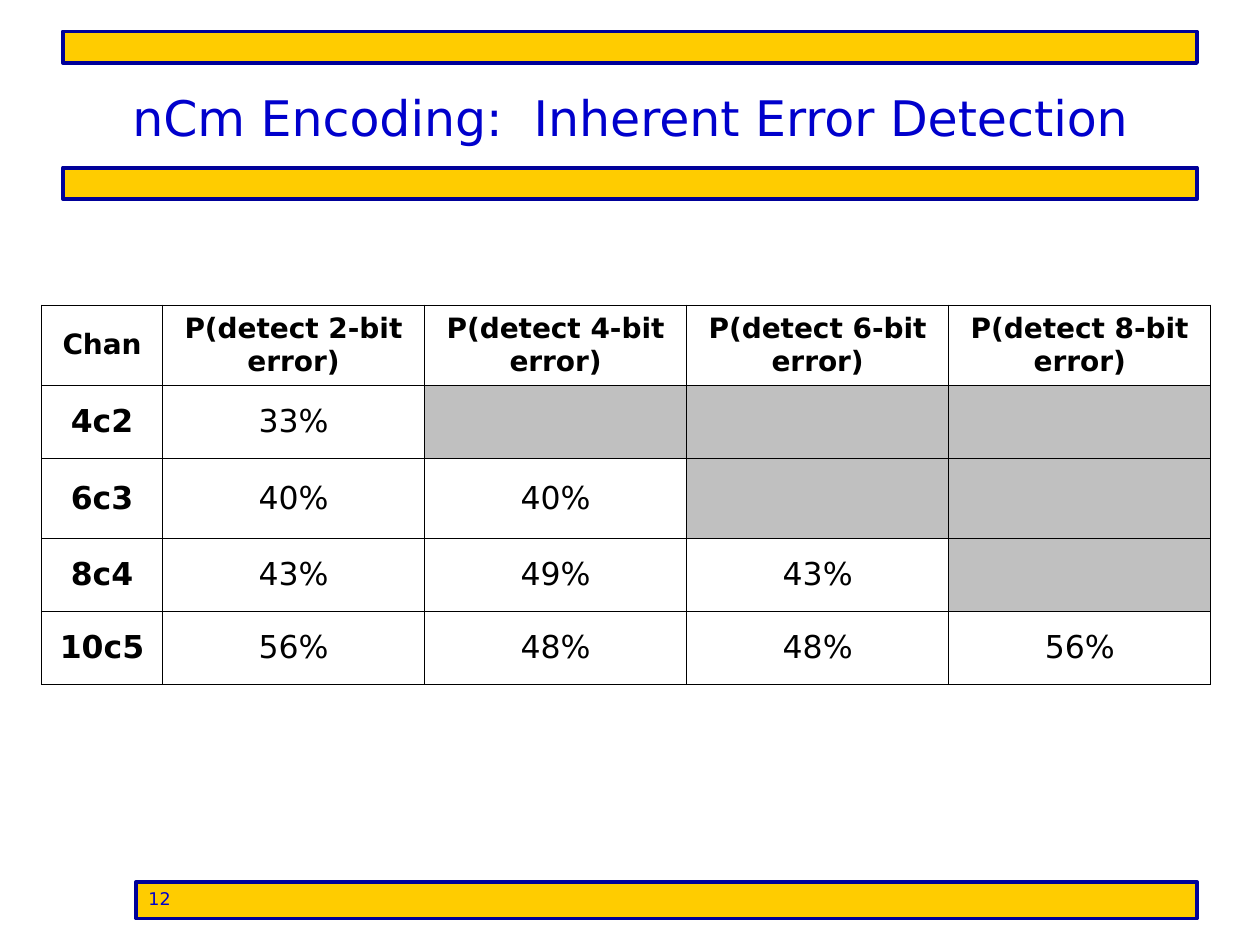
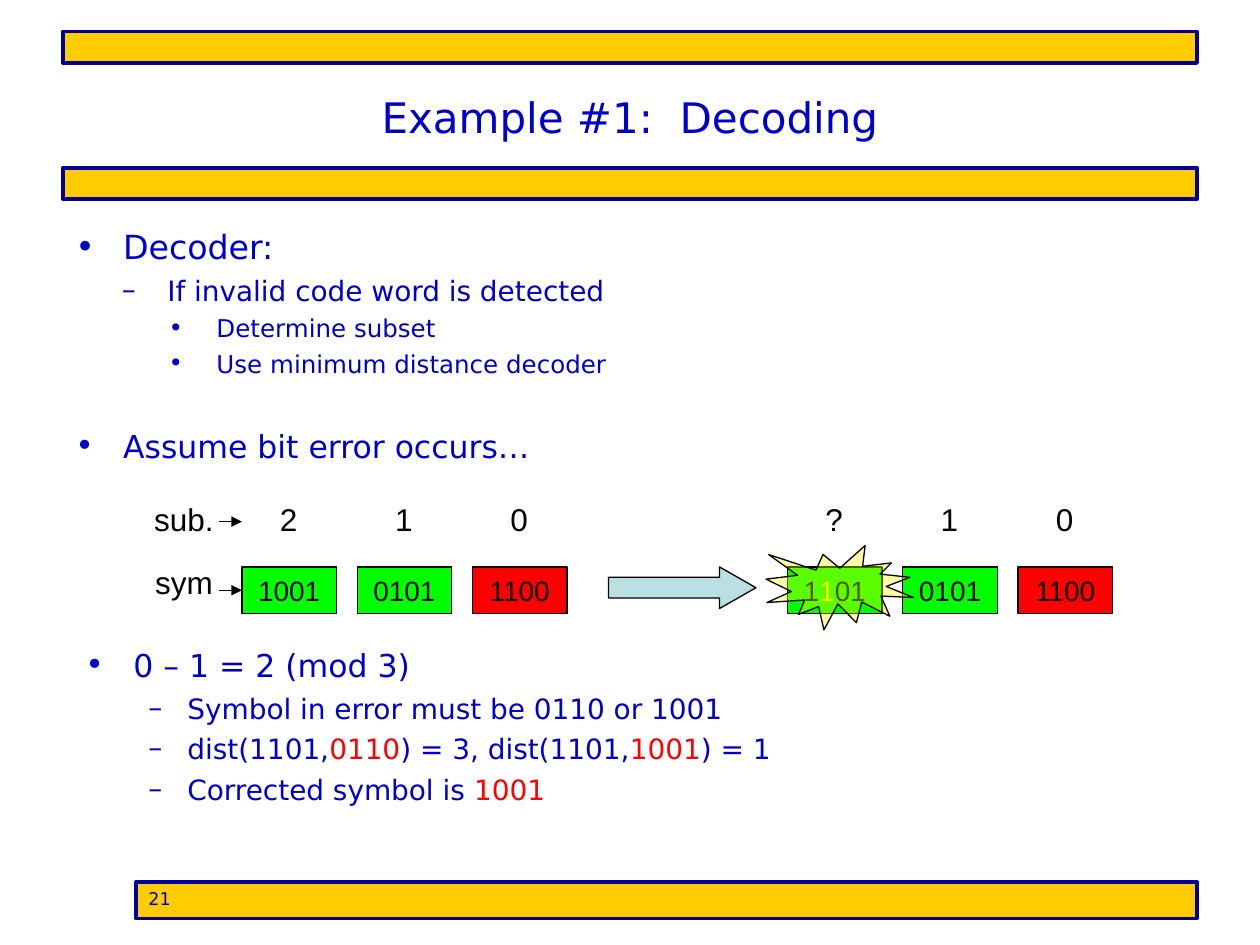
from dataclasses import dataclass

from lxml import etree
from pptx import Presentation
from pptx import util as u
from pptx.dml.color import RGBColor
from pptx.enum import shapes, text
from pptx.oxml import ns


@dataclass(frozen=True)
class Theme:
    gold: str = "FFCC00"
    navy: str = "000099"
    blue: str = "0000CC"
    black: str = "000000"
    white: str = "FFFFFF"
    gray: str = "C0C0C0"
    green: str = "00FF00"
    red: str = "FF0000"
    yellow: str = "FFFF00"
    pale_blue: str = "BBE0E3"
    main_font: str = "DejaVu Sans"
    diagram_font: str = "Arial"
    header_size: int = 16
    cell_size: int = 18
    code_size: int = 16
    label_size: int = 18
    number_size: int = 10
    band_line: float = 2.25
    thin_line: float = 0.75
    cell_line: float = 0.45


THEME = Theme()

# Bullet levels: size, left margin, hanging indent, space before, bullet
LEVELS = {
    "lead": (19, 0.38, 0.38, 4.8, "•"),
    "point": (18, 0.38, 0.38, 4.5, "•"),
    "rule": (16, 0.73, 0.36, 4, "–"),
    "step": (14, 1.12, 0.38, 3.5, "•"),
    "result": (16, 0.81, 0.31, 4, "–"),
}

# Content: detection table
DETECTION = {
    "title": ("nCm Encoding:  Inherent Error Detection", 28),
    "number": "12",
    "header": ["Chan"] + [f"P(detect {bits}-bit error)" for bits in (2, 4, 6, 8)],
    "rows": [
        ("4c2", "33%"),
        ("6c3", "40%", "40%"),
        ("8c4", "43%", "49%", "43%"),
        ("10c5", "56%", "48%", "48%", "56%"),
    ],
    "widths": [0.96] + [2.08] * 4,
    "heights": [0.64, 0.58, 0.63, 0.58, 0.58],
}

# Content: decoding example; a run is a string or a (string, colour) pair
DECODING = {
    "title": ("Example #1:  Decoding", 24),
    "number": "21",
    "bullets": [
        ((0.5, 1.75, 9, 1.58), [
            ("lead", ["Decoder:"]),
            ("rule", ["If invalid code word is detected"]),
            ("step", ["Determine subset"]),
            ("step", ["Use minimum distance decoder"]),
        ]),
        ((0.5, 3.34, 9, 0.53), [("point", ["Assume bit error occurs…"])]),
        ((0.58, 5.08, 9, 1.42), [
            ("point", ["0 – 1 = 2 (mod 3)"]),
            ("result", ["Symbol in error must be 0110 or 1001"]),
            ("result", ["dist(1101,", ("0110", THEME.red), ") = 3, dist(1101,",
                        ("1001", THEME.red), ") = 1"]),
            ("result", ["Corrected symbol is ", ("1001", THEME.red)]),
        ]),
    ],
    # Left edge of each sequence, then (subset, symbol runs, fill)
    "sequences": [
        (1.92, [("2", ["1001"], THEME.green), ("1", ["0101"], THEME.green),
                ("0", ["1100"], THEME.red)]),
        (6.25, [("?", ["1", ("1", THEME.yellow), "01"], THEME.green),
                ("1", ["0101"], THEME.green), ("0", ["1100"], THEME.red)]),
    ],
    "labels": [("sub.", 3.92), ("sym", 4.42)],
}


# Shared helpers
def rgb(colour):
    return RGBColor.from_string(colour)


def inches(values):
    return [u.Inches(value) for value in values]


def add_runs(paragraph, runs, size, colour, font=THEME.main_font, bold=False):
    for item in runs:
        words, run_colour = (item, colour) if isinstance(item, str) else item
        run = paragraph.add_run()
        run.text = words
        run.font.name = font
        run.font.size = u.Pt(size)
        run.font.bold = bold
        run.font.color.rgb = rgb(run_colour)


def add_shape(slide, kind, box, fill, line=THEME.black, width=THEME.thin_line):
    shape = slide.shapes.add_shape(kind, *inches(box))
    shape.shadow.inherit = False
    shape.fill.solid()
    shape.fill.fore_color.rgb = rgb(fill)
    shape.line.color.rgb = rgb(line)
    shape.line.width = u.Pt(width)
    return shape


def add_text(slide, box, runs, size, colour=THEME.black, font=THEME.diagram_font,
             anchor=text.MSO_ANCHOR.TOP):
    frame = slide.shapes.add_textbox(*inches(box)).text_frame
    frame.word_wrap = True
    frame.vertical_anchor = anchor
    frame.paragraphs[0].alignment = text.PP_ALIGN.CENTER
    add_runs(frame.paragraphs[0], runs, size, colour, font)


def add_band(slide, box):
    return add_shape(slide, shapes.MSO_SHAPE.RECTANGLE, box, THEME.gold,
                     THEME.navy, THEME.band_line)


def add_base_slide(presentation, content):
    """Blank slide with title between two bands and a numbered footer."""
    slide = presentation.slides.add_slide(presentation.slide_layouts[6])
    for top in (1.33, 0.25):
        add_band(slide, (0.5, top, 9, 0.25))
    title, size = content["title"]
    add_text(slide, (0.5, 0.3, 9, 1.25), [title], size, THEME.blue,
             THEME.main_font, text.MSO_ANCHOR.MIDDLE)
    footer = add_band(slide, (1.08, 7, 8.42, 0.29)).text_frame
    footer.vertical_anchor = text.MSO_ANCHOR.TOP
    footer.paragraphs[0].alignment = text.PP_ALIGN.LEFT
    add_runs(footer.paragraphs[0], [content["number"]], THEME.number_size, THEME.blue)
    return slide


def add_bullets(slide, box, items):
    frame = slide.shapes.add_textbox(*inches(box)).text_frame
    frame.word_wrap = True
    for index, (level, runs) in enumerate(items):
        size, margin, hanging, before, bullet = LEVELS[level]
        paragraph = frame.add_paragraph() if index else frame.paragraphs[0]
        properties = paragraph._p.get_or_add_pPr()
        properties.set("marL", str(u.Inches(margin)))
        properties.set("indent", str(-u.Inches(hanging)))
        colour = etree.SubElement(properties, ns.qn("a:buClr"))
        etree.SubElement(colour, ns.qn("a:srgbClr"), val=THEME.blue)
        etree.SubElement(properties, ns.qn("a:buFont"), typeface=THEME.main_font)
        etree.SubElement(properties, ns.qn("a:buChar"), char=bullet)
        if index:
            paragraph.space_before = u.Pt(before)
        add_runs(paragraph, runs, size, THEME.blue)


def add_cell_borders(cell):
    properties = cell._tc.get_or_add_tcPr()
    for index, side in enumerate(("lnL", "lnR", "lnT", "lnB")):
        border = etree.Element(ns.qn(f"a:{side}"), w=str(u.Pt(THEME.cell_line)))
        fill = etree.SubElement(border, ns.qn("a:solidFill"))
        etree.SubElement(fill, ns.qn("a:srgbClr"), val=THEME.black)
        properties.insert(index, border)


def add_arrow(slide, start, end):
    arrow = slide.shapes.add_connector(shapes.MSO_CONNECTOR.STRAIGHT,
                                       *inches(start + end))
    arrow.line.color.rgb = rgb(THEME.black)
    arrow.line.width = u.Pt(THEME.thin_line)
    etree.SubElement(arrow.line._get_or_add_ln(), ns.qn("a:tailEnd"), type="triangle")
    etree.SubElement(arrow._element.spPr, ns.qn("a:effectLst"))
    return arrow


# Slide with the detection table
def build_detection(presentation):
    slide = add_base_slide(presentation, DETECTION)
    widths, heights = DETECTION["widths"], DETECTION["heights"]
    box = (0.33, 2.42, sum(widths), sum(heights))
    table = slide.shapes.add_table(len(heights), len(widths), *inches(box)).table
    table.first_row = table.horz_banding = False
    for column, width in zip(table.columns, widths):
        column.width = u.Inches(width)
    for row, height in zip(table.rows, heights):
        row.height = u.Inches(height)

    for row_index, values in enumerate([DETECTION["header"]] + DETECTION["rows"]):
        size = THEME.cell_size if row_index else THEME.header_size
        for column_index in range(len(widths)):
            cell = table.cell(row_index, column_index)
            has_value = column_index < len(values)
            cell.fill.solid()
            cell.fill.fore_color.rgb = rgb(THEME.white if has_value else THEME.gray)
            add_cell_borders(cell)
            cell.vertical_anchor = text.MSO_ANCHOR.MIDDLE
            if has_value:
                paragraph = cell.text_frame.paragraphs[0]
                paragraph.alignment = text.PP_ALIGN.CENTER
                add_runs(paragraph, [values[column_index]], size, THEME.black,
                         bold=row_index == 0 or column_index == 0)


# Slide with the decoding example
def build_decoding(presentation):
    slide = add_base_slide(presentation, DECODING)
    for box, items in DECODING["bullets"]:
        add_bullets(slide, box, items)

    # Symbols with their subsets above
    symbol_top, symbol_width, symbol_height, step = 4.5, 0.75, 0.37, 0.915
    symbols = []
    for start, entries in DECODING["sequences"]:
        for index, (subset, code, fill) in enumerate(entries):
            left = start + index * step
            symbol = add_shape(slide, shapes.MSO_SHAPE.RECTANGLE,
                               (left, symbol_top, symbol_width, symbol_height), fill)
            symbol.text_frame.vertical_anchor = text.MSO_ANCHOR.MIDDLE
            paragraph = symbol.text_frame.paragraphs[0]
            paragraph.alignment = text.PP_ALIGN.CENTER
            add_runs(paragraph, code, THEME.code_size, THEME.black, THEME.diagram_font)
            add_text(slide, (left + 0.08, 3.92, 0.58, 0.4), [subset], THEME.label_size)
            symbols.append(symbol)

    # Transmission arrow and error burst
    transmission = add_shape(slide, shapes.MSO_SHAPE.RIGHT_ARROW,
                             (4.83, symbol_top, 1.17, 0.33), THEME.pale_blue)
    transmission.adjustments[1] = 0.875
    burst = add_shape(slide, shapes.MSO_SHAPE.EXPLOSION1,
                      (6.08, 4.33, 1.17, 0.67), THEME.yellow)
    burst_colour = burst._element.spPr.find(ns.qn("a:solidFill"))[0]
    etree.SubElement(burst_colour, ns.qn("a:alpha"), val="35000")

    # Row labels with arrows
    for label, top in DECODING["labels"]:
        add_text(slide, (1, top, 0.92, 0.4), [label], THEME.label_size)
    add_arrow(slide, (1.74, 4.14), (1.92, 4.14))
    middle = symbol_top + symbol_height / 2
    symbol_arrow = add_arrow(slide, (1.74, middle), (1.92, middle))
    symbol_arrow.end_connect(symbols[0], 1)


def main():
    presentation = Presentation()
    presentation.slide_width = u.Inches(10)
    presentation.slide_height = u.Inches(7.5)
    build_detection(presentation)
    build_decoding(presentation)
    presentation.save("out.pptx")


if __name__ == "__main__":
    main()
